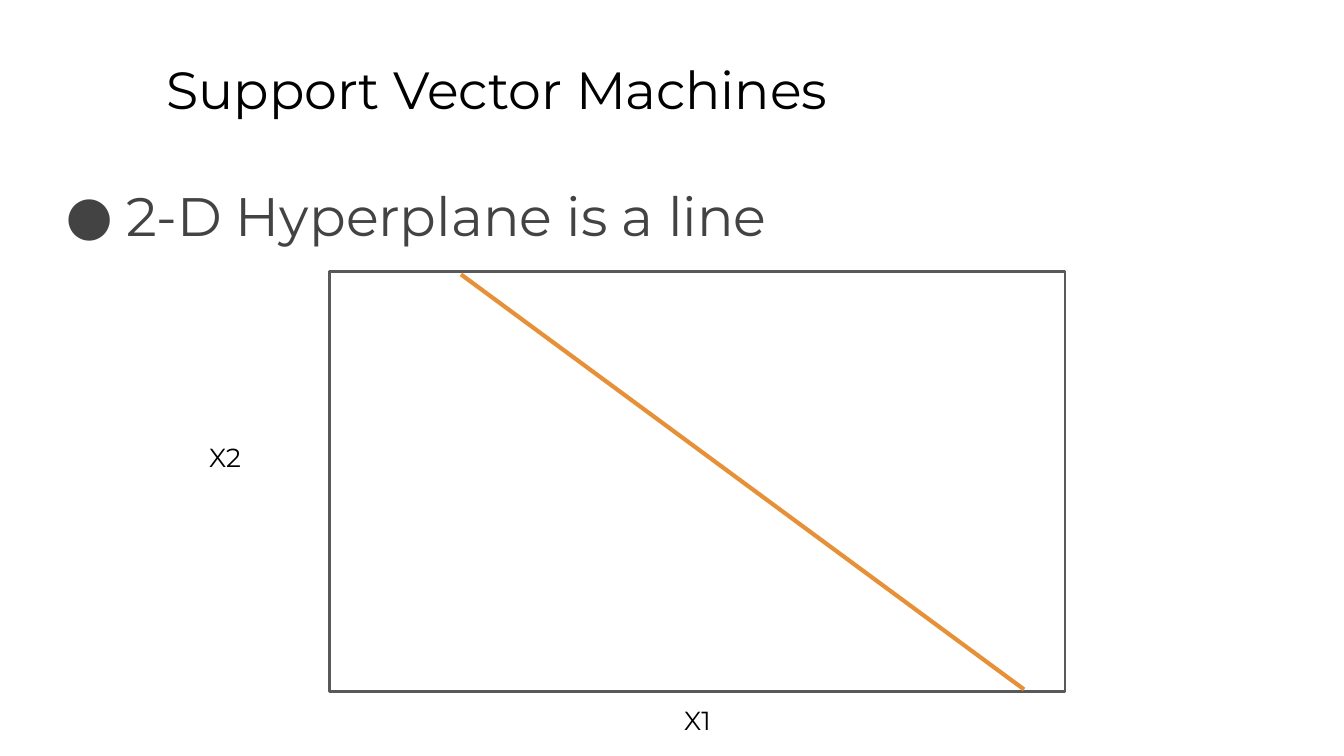
import dataclasses

import lxml.etree
import pptx
import pptx.dml.color
import pptx.enum.shapes
import pptx.enum.text
import pptx.oxml.ns
import pptx.util

WIDTH = pptx.util.Inches(10)
HEIGHT = WIDTH * 9 // 16
FONT = "Montserrat"
COLORS = {
    "title": "000000",
    "body": "434343",
    "frame": "595959",
    "hyperplane": "E69138",
}
ALIGN = pptx.enum.text.PP_ALIGN


@dataclasses.dataclass(frozen=True)
class Area:
    """A rectangle given in percent of the slide's width and height."""
    left: float
    top: float
    width: float
    height: float

    def lengths(self) -> tuple[int, int, int, int]:
        return (
            round(self.left * WIDTH / 100),
            round(self.top * HEIGHT / 100),
            round(self.width * WIDTH / 100),
            round(self.height * HEIGHT / 100),
        )


@dataclasses.dataclass(frozen=True)
class Label:
    text: str
    area: Area
    size: float
    color: str = "title"
    align: ALIGN = ALIGN.LEFT
    bullet: str = ""


PLOT = Area(24.5, 35.95, 54.75, 55.5)
HYPERPLANE = Area(34.3, 36.3, 41.9, 54.9)
HEADINGS = [
    Label("Support Vector Machines", Area(11.4, 5.8, 85.2, 11.2), 28),
    Label("2-D Hyperplane is a line", Area(3.4, 22.4, 95, 66.5), 29,
          color="body", bullet="●"),
]
AXIS_LABELS = [
    Label("X1", Area(44.6, 91.4, 14.6, 4.4), 14, align=ALIGN.CENTER),
    Label("X2", Area(9.45, 56.65, 14.6, 4.4), 14, align=ALIGN.CENTER),
]


def rgb(name: str) -> pptx.dml.color.RGBColor:
    return pptx.dml.color.RGBColor.from_string(COLORS[name])


def add_bullet(para, mark: str, color: str) -> None:
    properties = para._p.get_or_add_pPr()
    properties.set("marL", str(pptx.util.Inches(0.5)))
    properties.set("indent", str(pptx.util.Inches(-0.45)))
    qn = pptx.oxml.ns.qn
    bullet_color = lxml.etree.SubElement(properties, qn("a:buClr"))
    lxml.etree.SubElement(bullet_color, qn("a:srgbClr"), val=COLORS[color])
    lxml.etree.SubElement(properties, qn("a:buFont"), typeface=FONT)
    lxml.etree.SubElement(properties, qn("a:buChar"), char=mark)


def add_label(page, label: Label) -> None:
    frame = page.shapes.add_textbox(*label.area.lengths()).text_frame
    margin = pptx.util.Inches(0.1)
    frame_format = {
        "word_wrap": True,
        "vertical_anchor": pptx.enum.text.MSO_ANCHOR.TOP,
        "margin_left": margin,
        "margin_top": margin,
        "margin_right": margin,
        "margin_bottom": margin,
    }
    for name, value in frame_format.items():
        setattr(frame, name, value)

    para = frame.paragraphs[0]
    para.alignment = label.align
    if label.bullet:
        add_bullet(para, label.bullet, label.color)
    span = para.add_run()
    span.text = label.text
    for name, value in {"name": FONT, "size": pptx.util.Pt(label.size)}.items():
        setattr(span.font, name, value)
    span.font.color.rgb = rgb(label.color)


def set_line(shape, color: str, width: float) -> None:
    shape.line.color.rgb = rgb(color)
    shape.line.width = pptx.util.Pt(width)


def add_frame(page) -> None:
    frame = page.shapes.add_shape(
        pptx.enum.shapes.MSO_SHAPE.RECTANGLE, *PLOT.lengths())
    frame.shadow.inherit = False
    frame.fill.background()
    set_line(frame, "frame", 1.5)


def add_hyperplane(page) -> None:
    left, top, width, height = HYPERPLANE.lengths()
    hyperplane = page.shapes.add_connector(
        pptx.enum.shapes.MSO_CONNECTOR.STRAIGHT,
        left, top, left + width, top + height)
    lxml.etree.SubElement(
        hyperplane._element.spPr, pptx.oxml.ns.qn("a:effectLst"))
    set_line(hyperplane, "hyperplane", 2.25)


def main() -> None:
    deck = pptx.Presentation()
    deck.slide_width = WIDTH
    deck.slide_height = HEIGHT
    page = deck.slides.add_slide(deck.slide_layouts[6])
    for heading in HEADINGS:
        add_label(page, heading)
    add_frame(page)
    for axis_label in AXIS_LABELS:
        add_label(page, axis_label)
    add_hyperplane(page)
    deck.save("out.pptx")


if __name__ == "__main__":
    main()
